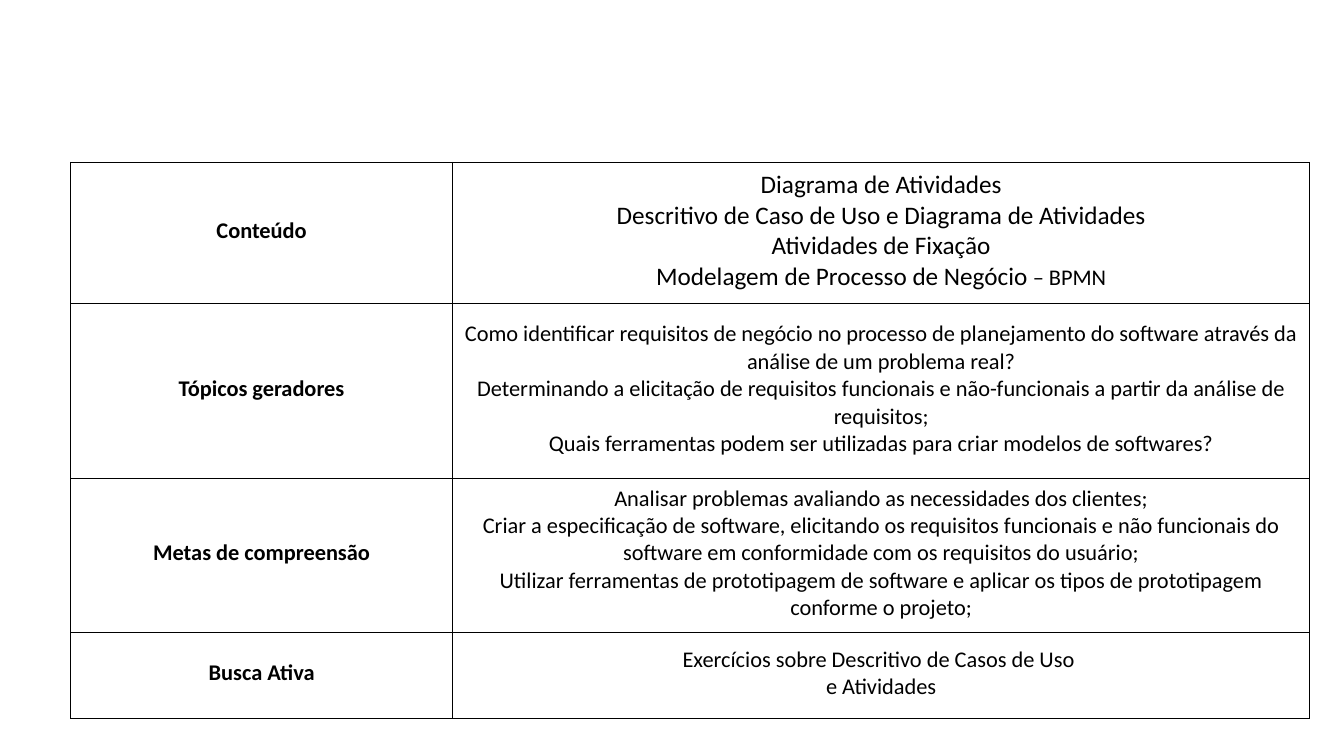
"""Build the lesson plan slide: one bordered table of topics and goals."""
from dataclasses import dataclass

from lxml.etree import SubElement
from pptx import Presentation
from pptx.dml.color import RGBColor
from pptx.enum.text import MSO_ANCHOR as Anchor, PP_ALIGN as Align
from pptx.oxml.ns import qn
from pptx.table import _Cell as Cell
from pptx.util import Inches, Pt

BLACK = RGBColor(0x00, 0x00, 0x00)
FONT = "Calibri"
BORDER_WIDTH = Pt(0.5)
COLUMN_WIDTHS = (3.79, 8.5)


@dataclass(frozen=True)
class Span:
    text: str
    size: int = 16
    bold: bool = False


@dataclass(frozen=True)
class PlanRow:
    heading: str
    height: float
    paragraphs: tuple[tuple[Span, ...], ...]


PLAN = (
    PlanRow("Conteúdo", 1.4, (
        (Span("Diagrama de Atividades", 18),),
        (Span("Descritivo de Caso de Uso e Diagrama de Atividades", 18),),
        (Span("Atividades de Fixação", 18),),
        (Span("Modelagem de Processo de Negócio", 18), Span(" – BPMN")),
    )),
    PlanRow("Tópicos geradores", 1.74, (
        (Span("Como identificar requisitos de negócio no processo de planejamento "
              "do software através da análise de um problema real?"),),
        (Span("Determinando a elicitação de requisitos funcionais e não-funcionais "
              "a partir da análise de requisitos;"),),
        (Span("Quais ferramentas podem ser utilizadas para criar modelos de softwares?"),),
    )),
    PlanRow("Metas de compreensão", 1.52, (
        (Span("Analisar problemas avaliando as necessidades dos clientes;\n"
              "Criar a especificação de software, elicitando os requisitos funcionais "
              "e não funcionais do software em conformidade com os requisitos do usuário;\n"
              "Utilizar ferramentas de prototipagem de software e aplicar os tipos de "
              "prototipagem conforme o projeto;"),),
    )),
    PlanRow("Busca Ativa", 0.86, (
        (Span("Exercícios sobre Descritivo de Casos de Uso \ne Atividades"),),
    )),
)


def draw_borders(cell: Cell) -> None:
    properties = cell._tc.get_or_add_tcPr()
    for side in ("a:lnL", "a:lnR", "a:lnT", "a:lnB"):
        line = SubElement(properties, qn(side), w=str(int(BORDER_WIDTH)))
        fill = SubElement(line, qn("a:solidFill"))
        SubElement(fill, qn("a:srgbClr"), val=str(BLACK))


def write_cell(cell: Cell, paragraphs: tuple[tuple[Span, ...], ...]) -> None:
    draw_borders(cell)
    cell.fill.background()
    cell.vertical_anchor = Anchor.MIDDLE
    cell.margin_left = cell.margin_right = cell.margin_top = Inches(0.01)
    cell.margin_bottom = Inches(0.05)
    frame = cell.text_frame
    for index, spans in enumerate(paragraphs):
        para = frame.add_paragraph() if index else frame.paragraphs[0]
        para.alignment = Align.CENTER
        for span in spans:
            para.font.size = Pt(span.size)
            for number, text in enumerate(span.text.split("\n")):
                if number:
                    para.add_line_break()
                run = para.add_run()
                run.text = text
                run.font.name = FONT
                run.font.size = Pt(span.size)
                run.font.bold = span.bold
                run.font.color.rgb = BLACK


def main() -> None:
    deck = Presentation()
    deck.slide_width, deck.slide_height = Inches(13.33), Inches(7.5)
    page = deck.slides.add_slide(deck.slide_layouts[6])
    table = page.shapes.add_table(
        len(PLAN), len(COLUMN_WIDTHS), Inches(0.7), Inches(1.61),
        Inches(sum(COLUMN_WIDTHS)), Inches(sum(row.height for row in PLAN)),
    ).table
    table.first_row = table.horz_banding = False
    for column, width in zip(table.columns, COLUMN_WIDTHS):
        column.width = Inches(width)
    for index, row in enumerate(PLAN):
        table.rows[index].height = Inches(row.height)
        write_cell(table.cell(index, 0), ((Span(row.heading, bold=True),),))
        write_cell(table.cell(index, 1), row.paragraphs)
    deck.save("out.pptx")


if __name__ == "__main__":
    main()
